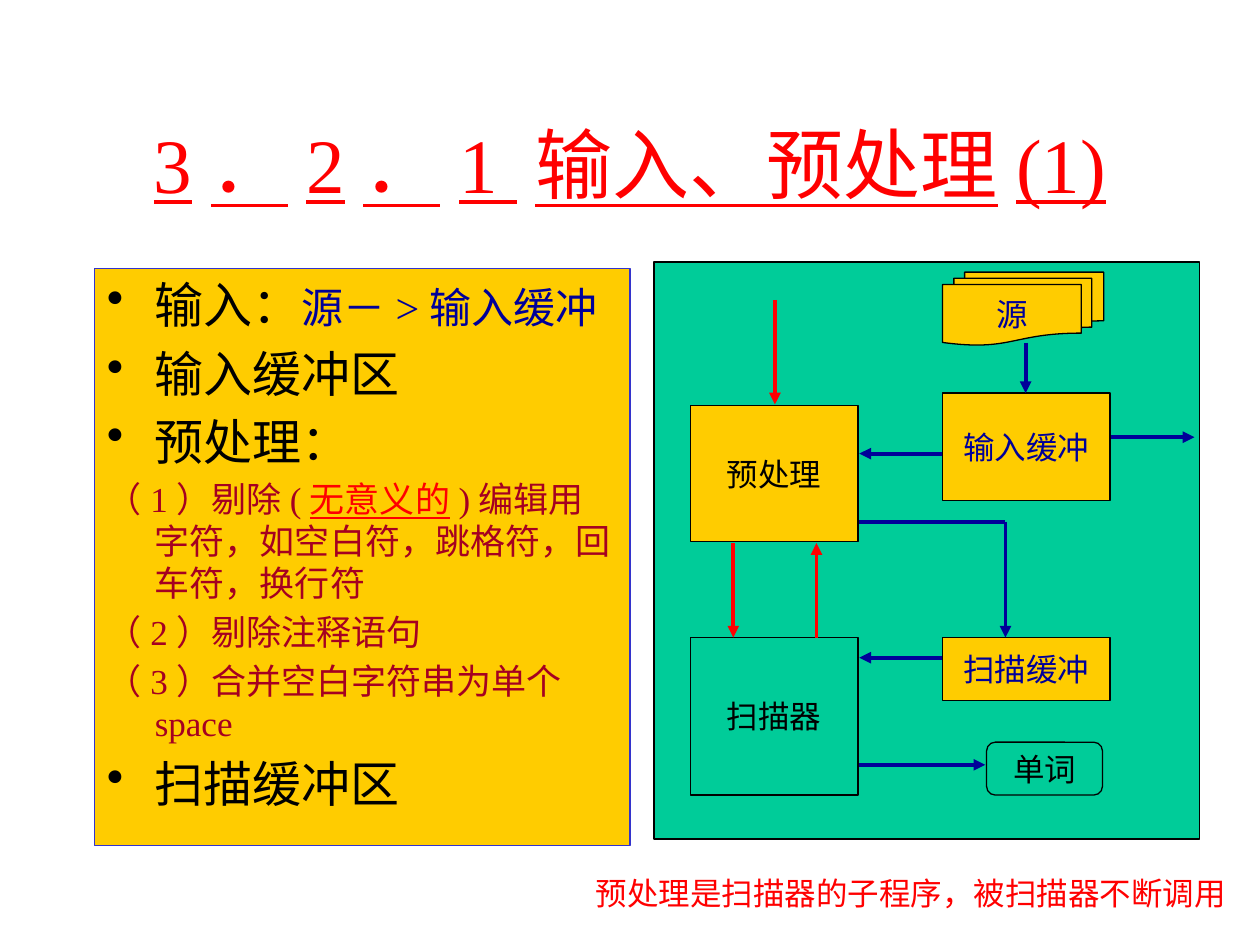
from lxml.etree import SubElement
from pptx import Presentation
from pptx.dml.color import RGBColor
from pptx.enum.shapes import MSO_CONNECTOR, MSO_SHAPE
from pptx.enum.text import MSO_ANCHOR, PP_ALIGN
from pptx.oxml.ns import qn
from pptx.util import Inches, Pt

BLACK, RED, NAVY, MAROON = "000000", "FF0000", "000099", "A50021"
GREEN, GOLD = "00CC99", "FFCC00"


def rgb(hex_text):
    return RGBColor.from_string(hex_text)


def add_run(p, text, size, color, underline=None):
    r = p.add_run()
    r.text = text
    r.font.name = "Times New Roman"
    r.font.size = Pt(size)
    r.font.color.rgb = rgb(color)
    r.font.underline = underline


prs = Presentation()
prs.slide_width, prs.slide_height = Inches(10), Inches(7.5)
s = prs.slides.add_slide(prs.slide_layouts[5])

# Title
title = s.shapes.title
title.left, title.top = Inches(0.75), Inches(0.67)
title.width, title.height = Inches(8.5), Inches(1.25)
tf = title.text_frame
tf.vertical_anchor = MSO_ANCHOR.MIDDLE
p = tf.paragraphs[0]
p.alignment = PP_ALIGN.CENTER
add_run(p, "3．2．1 输入、预处理(1)", 44, RED, True)

# Panels and diagram boxes: shape, left, top, width, height, fill, line, text, text colour
RECT = MSO_SHAPE.RECTANGLE
boxes = [
    (RECT, 5.19, 2.08, 4.33, 4.58, GREEN, BLACK, "", BLACK),
    (RECT, 0.75, 2.13, 4.25, 4.58, GOLD, "3333CC", "", BLACK),
    (MSO_SHAPE.FLOWCHART_MULTIDOCUMENT, 7.48, 2.16, 1.28, 0.58, GOLD, BLACK, "源", NAVY),
    (RECT, 7.48, 3.12, 1.33, 0.85, GOLD, BLACK, "输入缓冲", NAVY),
    (RECT, 5.48, 3.22, 1.33, 1.08, GOLD, BLACK, "预处理", BLACK),
    (RECT, 5.48, 5.06, 1.33, 1.25, GREEN, BLACK, "扫描器", BLACK),
    (RECT, 7.48, 5.06, 1.33, 0.5, GOLD, BLACK, "扫描缓冲", NAVY),
    (MSO_SHAPE.ROUNDED_RECTANGLE, 7.83, 5.89, 0.92, 0.42, GREEN, BLACK, "单词", BLACK),
]
shapes = []
for kind, x, y, w, h, fill, line, text, color in boxes:
    sp = s.shapes.add_shape(kind, Inches(x), Inches(y), Inches(w), Inches(h))
    sp.shadow.inherit = False
    sp.fill.solid()
    sp.fill.fore_color.rgb = rgb(fill)
    sp.line.color.rgb = rgb(line)
    sp.line.width = Pt(0.75)
    if text:
        tf = sp.text_frame
        tf.word_wrap = False
        tf.vertical_anchor = MSO_ANCHOR.MIDDLE
        p = tf.paragraphs[0]
        p.alignment = PP_ALIGN.CENTER
        add_run(p, text, 18, color)
    shapes.append(sp)

# Outline in the left panel: bulleted, runs of (text, size, colour, underline)
outline = [
    (True, [("输入：", 28, BLACK), ("源－>输入缓冲", 24, NAVY)]),
    (True, [("输入缓冲区", 28, BLACK)]),
    (True, [("预处理：", 28, BLACK)]),
    (False, [("（1）剔除(", 20, MAROON), ("无意义的", 20, RED, True),
             (")编辑用字符，如空白符，跳格符，回车符，换行符", 20, MAROON)]),
    (False, [("（2）剔除注释语句", 20, MAROON)]),
    (False, [("（3）合并空白字符串为单个space", 20, MAROON)]),
    (True, [("扫描缓冲区", 28, BLACK)]),
]
tf = shapes[1].text_frame
tf.word_wrap = True
tf.vertical_anchor = MSO_ANCHOR.TOP
for i, (bulleted, runs) in enumerate(outline):
    p = tf.add_paragraph() if i else tf.paragraphs[0]
    p.alignment = PP_ALIGN.LEFT
    if i:
        p.space_before = Pt(0.2 * runs[0][1])
    pPr = p._p.get_or_add_pPr()
    pPr.set("marL", str(Inches(0.38)))
    pPr.set("indent", str(-Inches(0.38)))
    if bulleted:
        SubElement(pPr, qn("a:buChar")).set("char", "•")
    else:
        SubElement(pPr, qn("a:buNone"))
    for run in runs:
        add_run(p, *run)

# Flow lines: from x, y, to x, y, colour, arrowhead
lines = [
    (8.14, 2.72, 8.14, 3.12, NAVY, True),
    (8.82, 3.47, 9.48, 3.47, NAVY, True),
    (7.48, 3.6, 6.82, 3.6, NAVY, True),
    (6.82, 4.14, 7.98, 4.14, NAVY, False),
    (7.98, 4.14, 7.98, 5.06, NAVY, True),
    (6.15, 2.38, 6.15, 3.21, RED, True),
    (5.82, 4.31, 5.82, 5.06, RED, True),
    (6.48, 5.06, 6.48, 4.31, RED, True),
    (7.48, 5.22, 6.82, 5.22, NAVY, True),
    (6.82, 6.07, 7.82, 6.07, NAVY, True),
]
for x1, y1, x2, y2, color, arrow in lines:
    c = s.shapes.add_connector(MSO_CONNECTOR.STRAIGHT, Inches(x1), Inches(y1), Inches(x2), Inches(y2))
    c.line.color.rgb = rgb(color)
    c.line.width = Pt(2.25)
    if arrow:
        SubElement(c.line._get_or_add_ln(), qn("a:tailEnd")).set("type", "triangle")
    SubElement(c._element.spPr, qn("a:effectLst"))

# Note under the diagram
note = s.shapes.add_textbox(Inches(4.63), Inches(6.89), Inches(5.72), Inches(0.4))
tf = note.text_frame
tf.word_wrap = True
add_run(tf.paragraphs[0], "预处理是扫描器的子程序，被扫描器不断调用", 18, RED)

prs.save("out.pptx")
